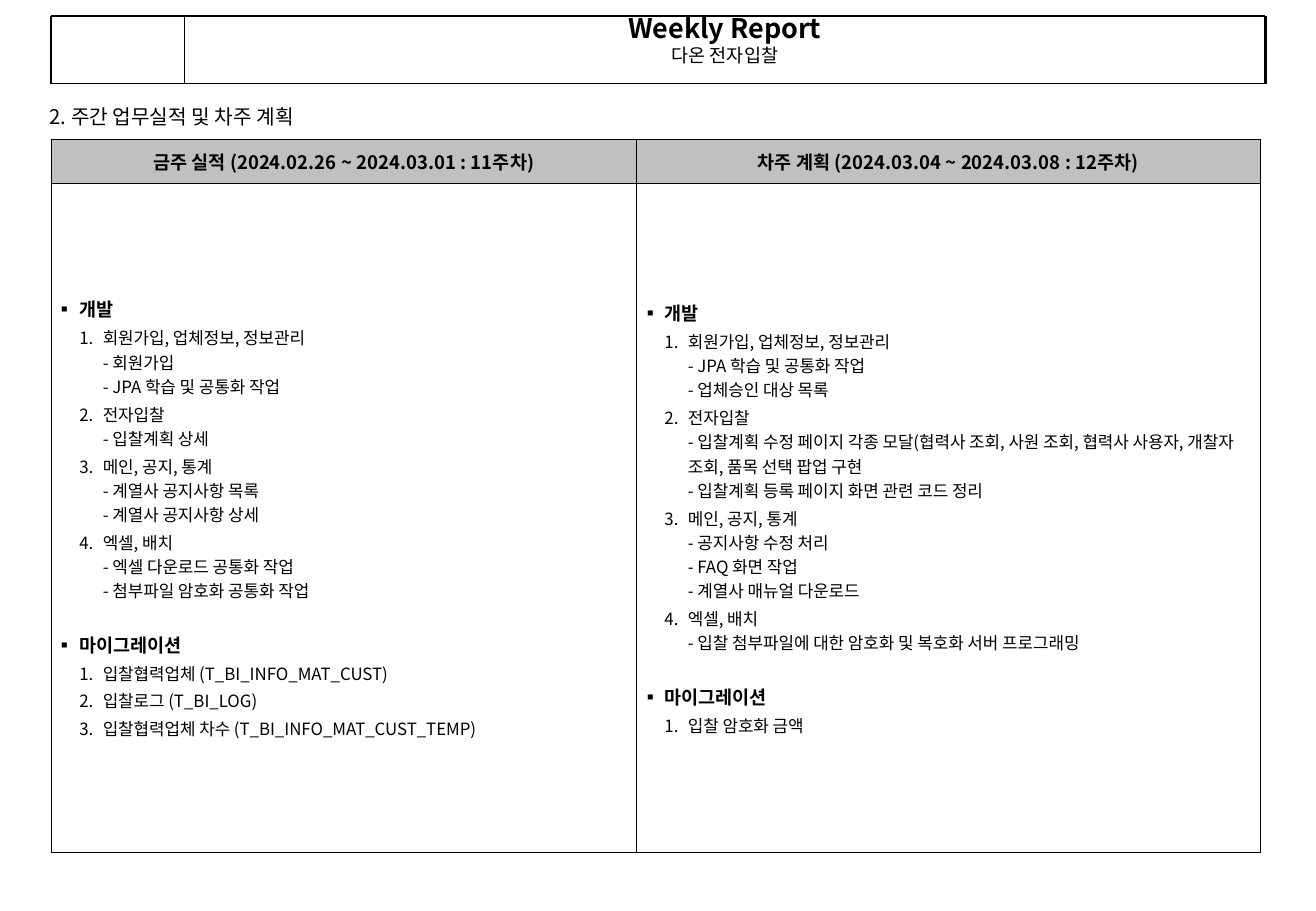
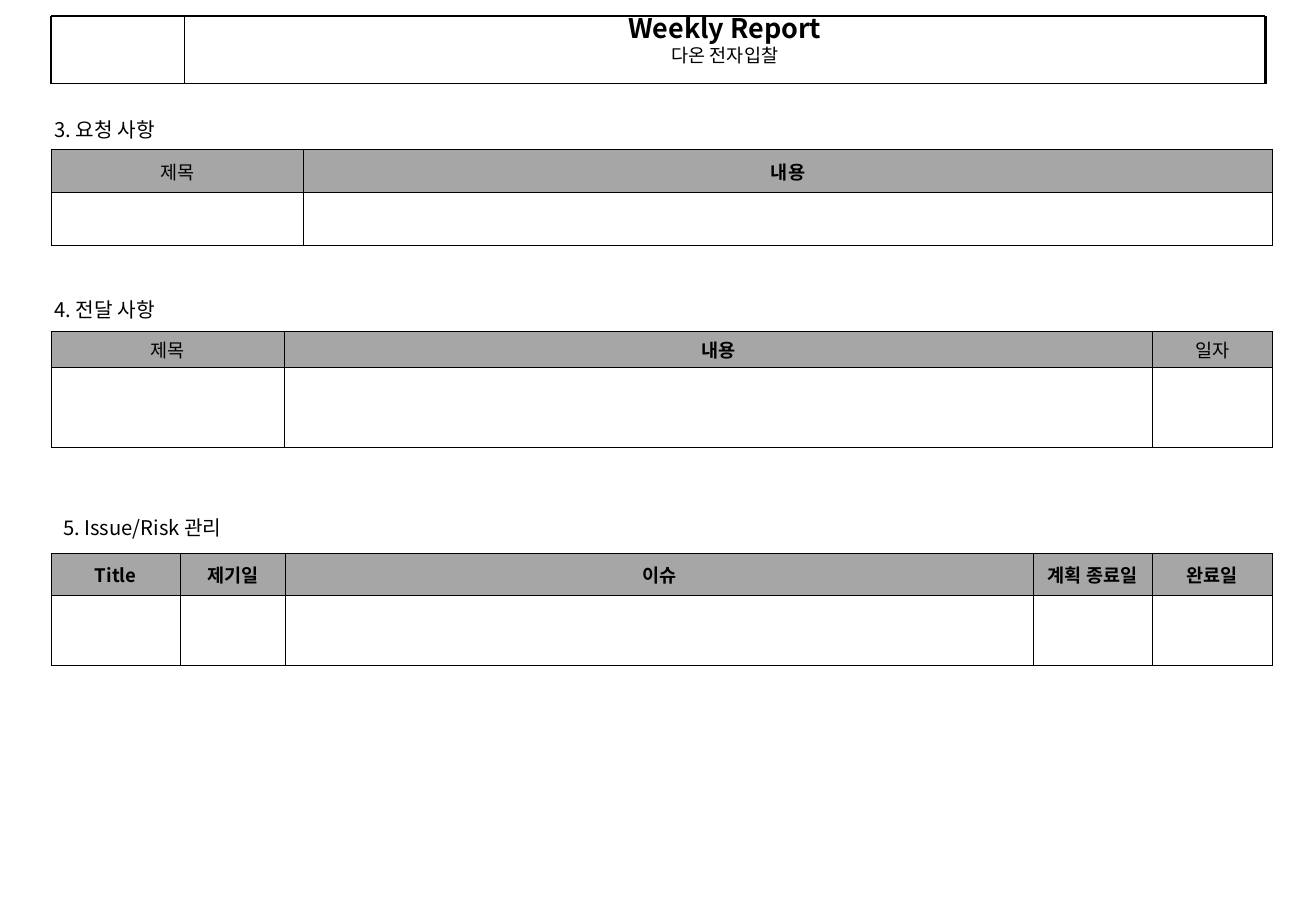
from lxml import etree
from pptx import Presentation
from pptx.dml.color import RGBColor
from pptx.enum.shapes import MSO_CONNECTOR
from pptx.enum.text import MSO_ANCHOR, MSO_AUTO_SIZE, PP_ALIGN
from pptx.oxml.ns import qn
from pptx.util import Cm, Pt

BLACK = RGBColor(0x00, 0x00, 0x00)
SILVER = RGBColor(0xC0, 0xC0, 0xC0)
GRAY = RGBColor(0xA6, 0xA6, 0xA6)
FONT = "Noto Sans CJK KR"
CENTER, LEFT = PP_ALIGN.CENTER, PP_ALIGN.LEFT
TOP, MIDDLE = MSO_ANCHOR.TOP, MSO_ANCHOR.MIDDLE
NO_FIT = MSO_AUTO_SIZE.NONE
STRAIGHT = MSO_CONNECTOR.STRAIGHT

# Frame of the report header, in cm
X0, X1, X2 = 1.07, 3.86, 26.47
Y0, Y1 = 0.33, 1.75
STEP = 0.49  # list indent

THIS_WEEK = [
    ("개발", [
        "회원가입, 업체정보, 정보관리\n- 회원가입\n- JPA 학습 및 공통화 작업",
        "전자입찰\n- 입찰계획 상세",
        "메인, 공지, 통계\n- 계열사 공지사항 목록\n- 계열사 공지사항 상세",
        "엑셀, 배치\n- 엑셀 다운로드 공통화 작업\n- 첨부파일 암호화 공통화 작업",
    ]),
    ("마이그레이션", [
        "입찰협력업체 (T_BI_INFO_MAT_CUST)",
        "입찰로그 (T_BI_LOG)",
        "입찰협력업체 차수 (T_BI_INFO_MAT_CUST_TEMP)",
    ]),
]
NEXT_WEEK = [
    ("개발", [
        "회원가입, 업체정보, 정보관리\n- JPA 학습 및 공통화 작업\n- 업체승인 대상 목록",
        "전자입찰\n- 입찰계획 수정 페이지 각종 모달(협력사 조회, 사원 조회, 협력사 사용자, "
        "개찰자 조회, 품목 선택 팝업 구현\n- 입찰계획 등록 페이지 화면 관련 코드 정리",
        "메인, 공지, 통계\n- 공지사항 수정 처리\n- FAQ 화면 작업\n- 계열사 매뉴얼 다운로드",
        "엑셀, 배치\n- 입찰 첨부파일에 대한 암호화 및 복호화 서버 프로그래밍",
    ]),
    ("마이그레이션", ["입찰 암호화 금액"]),
]


def add(parent, tag, **attrs):
    node = etree.SubElement(parent, qn(tag))
    for key, value in attrs.items():
        node.set(key, str(value))
    return node


class Report:
    """Holds the style and the slide being built."""

    def __init__(self):
        self.deck = Presentation()
        self.deck.slide_width, self.deck.slide_height = Cm(27.53), Cm(19.05)
        self.slide = None

    def style(self, para, size, bold=False, align=LEFT):
        para.alignment = align
        for run in para.runs:
            run.font.size, run.font.bold, run.font.name = Pt(size), bold, FONT
            run.font.color.rgb = BLACK
            add(run._r.get_or_add_rPr(), "a:ea", typeface=FONT)

    def line(self, x1, y1, x2, y2, width):
        line = self.slide.shapes.add_connector(
            STRAIGHT, Cm(x1), Cm(y1), Cm(x2), Cm(y2))
        line.line.color.rgb, line.line.width = BLACK, Pt(width)
        add(line._element.spPr, "a:effectLst")

    def page(self):
        """Start a slide with the shared report header."""
        self.slide = self.deck.slides.add_slide(self.deck.slide_layouts[5])
        title = self.slide.shapes.title
        title.left, title.top = Cm(X1), Cm(Y0)
        title.width, title.height = Cm(X2 - X1), Cm(Y1 - Y0)
        frame = title.text_frame
        frame.text = "Weekly Report\n다온 전자입찰"
        frame.auto_size, frame.vertical_anchor = NO_FIT, TOP
        frame.margin_top = frame.margin_bottom = 0
        name, project = frame.paragraphs
        self.style(name, 16, True, CENTER)
        self.style(project, 11, False, CENTER)
        name.line_spacing = project.line_spacing = 0.88
        name.space_before, project.space_before = Pt(0), Pt(1.5)
        for x, width in ((X1, 0.25), (X0, 1.5), (X2, 1.5)):
            self.line(x, Y0, x, Y1, width)
        for y, width in ((Y0, 1.5), (Y1, 0.25)):
            self.line(X0, y, X2, y, width)

    def heading(self, text, x, y):
        box = self.slide.shapes.add_textbox(Cm(x), Cm(y), Cm(7.8), Cm(0.76))
        frame = box.text_frame
        frame.word_wrap = True
        frame.margin_top = Cm(0.05)
        frame.text = text
        self.style(frame.paragraphs[0], 12)

    def border(self, cell):
        props = cell._tc.get_or_add_tcPr()
        for side in ("a:lnL", "a:lnR", "a:lnT", "a:lnB"):
            edge = add(props, side, w=Pt(0.45))
            add(add(edge, "a:solidFill"), "a:srgbClr", val=BLACK)

    def table(self, y, cols, rows, heads, fill, plain=()):
        """Draw a header row over one empty row."""
        grid = self.slide.shapes.add_table(
            len(rows), len(cols), Cm(X0), Cm(y), Cm(sum(cols)), Cm(sum(rows))).table
        grid.first_row = grid.horz_banding = False
        for col, width in zip(grid.columns, cols):
            col.width = Cm(width)
        for row, height in zip(grid.rows, rows):
            row.height = Cm(height)
        for cell in grid.iter_cells():
            self.border(cell)
            cell.fill.background()
            cell.vertical_anchor = MIDDLE
            cell.margin_left = cell.margin_right = cell.margin_top = cell.margin_bottom = Cm(0.1)
        for cell, text in zip(grid.rows[0].cells, heads):
            cell.fill.solid()
            cell.fill.fore_color.rgb = fill
            cell.text = text
            self.style(cell.text_frame.paragraphs[0], 11, text not in plain, CENTER)
        return grid

    def bullet(self, para, level):
        para.level = level
        props = para._p.get_or_add_pPr()
        props.set("marL", str(Cm(STEP * (level + 1))))
        props.set("indent", str(-Cm(STEP)))
        add(add(props, "a:buClr"), "a:srgbClr", val=BLACK)
        add(props, "a:buFont", typeface=FONT)
        if level:
            add(props, "a:buAutoNum", type="arabicPeriod")
        else:
            add(props, "a:buChar", char="▪")

    def tasks(self, cell, groups):
        frame = cell.text_frame
        for num, (name, items) in enumerate(groups):
            for level, text in [(0, name)] + [(1, item) for item in items]:
                first = num == 0 and level == 0
                para = frame.paragraphs[0] if first else frame.add_paragraph()
                para.text = text
                self.bullet(para, level)
                gap = 1 if level else 15.5
                para.space_before = Pt(0 if first else gap)
                para.space_after = Pt(1)
                self.style(para, 10 if level else 11, not level)


def main():
    report = Report()

    # Results and plan
    report.page()
    report.heading("2. 주간 업무실적 및 차주 계획", 0.79, 2.13)
    weeks = report.table(
        2.92, (12.24, 13.06), (0.91, 14),
        ("금주 실적 (2024.02.26 ~ 2024.03.01 : 11주차)",
         "차주 계획 (2024.03.04 ~ 2024.03.08 : 12주차)"), SILVER)
    report.tasks(weeks.cell(1, 0), THIS_WEEK)
    report.tasks(weeks.cell(1, 1), NEXT_WEEK)

    # Requests, notices and issues
    report.page()
    plain = ("제목", "일자")
    report.heading("3. 요청 사항", 0.89, 2.41)
    report.table(3.12, (5.28, 20.27), (0.91, 1.09), ("제목", "내용"), GRAY, plain)
    report.heading("4. 전달 사항", 0.89, 6.17)
    report.table(6.93, (4.88, 18.15, 2.52), (0.76, 1.66),
                 ("제목", "내용", "일자"), GRAY, plain)
    report.heading("5. Issue/Risk 관리", 1.07, 10.72)
    report.table(11.58, (2.7, 2.2, 15.64, 2.49, 2.52), (0.86, 1.47),
                 ("Title", "제기일", "이슈", "계획 종료일", "완료일"), GRAY)

    report.deck.save("out.pptx")


if __name__ == "__main__":
    main()
